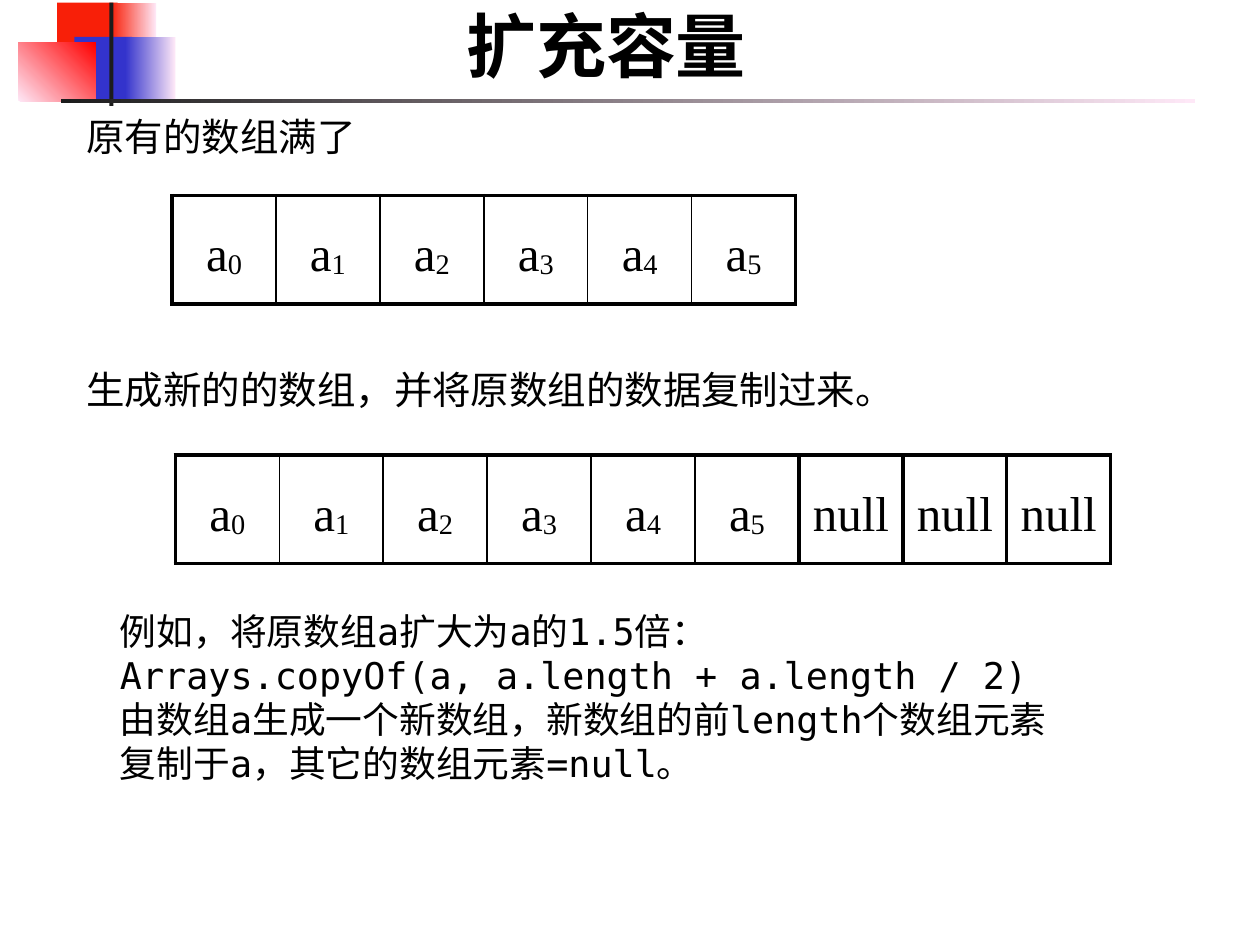
from lxml import etree
from pptx import Presentation
from pptx import util as u
from pptx.dml import color
from pptx.enum import shapes, text
from pptx.oxml import ns

SERIF = "Times New Roman"
CELL_WIDTH = 59.4
CELL_HEIGHT = 61.9
INSET = 4.5
THIN, THICK = 1, 2.25
ORIGINAL_LENGTH = 6


def rgb(value):
    return color.RGBColor.from_string(value)


def add_block(slide, box, start, end=None, angle=0):
    shape = slide.shapes.add_shape(shapes.MSO_SHAPE.RECTANGLE, *map(u.Pt, box))
    shape.shadow.inherit = False
    shape.line.fill.background()
    if end is None:
        shape.fill.solid()
        shape.fill.fore_color.rgb = rgb(start)
    else:
        shape.fill.gradient()
        shape.fill.gradient_angle = angle
        for stop, value in zip(shape.fill.gradient_stops, (start, end)):
            stop.color.rgb = rgb(value)


def style_font(font, name, size, bold=False):
    font.name = name
    font.size = u.Pt(size)
    font.bold = bold
    font.color.rgb = rgb("000000")


def set_insets(holder):
    holder.margin_left = holder.margin_right = u.Pt(INSET)
    holder.margin_top = holder.margin_bottom = u.Pt(INSET)


def add_text(slide, box, lines, name, size, bold=False, wrap=False,
             align=text.PP_ALIGN.LEFT, anchor=text.MSO_ANCHOR.MIDDLE):
    frame = slide.shapes.add_textbox(*map(u.Pt, box)).text_frame
    set_insets(frame)
    frame.word_wrap = wrap
    frame.vertical_anchor = anchor
    frame.text = "\n".join(lines)
    for paragraph in frame.paragraphs:
        paragraph.alignment = align
        style_font(paragraph.font, name, size, bold)


def set_border(cell, side, width):
    properties = cell._tc.get_or_add_tcPr()
    line = etree.SubElement(properties, ns.qn(f"a:ln{side}"), w=str(u.Pt(width)))
    fill = etree.SubElement(line, ns.qn("a:solidFill"))
    etree.SubElement(fill, ns.qn("a:srgbClr"), val="000000")


def fill_cell(cell, label, subscript):
    cell.vertical_anchor = text.MSO_ANCHOR.MIDDLE
    set_insets(cell)
    paragraph = cell.text_frame.paragraphs[0]
    paragraph.alignment = text.PP_ALIGN.CENTER
    paragraph.line_spacing = 1.2
    style_font(paragraph.font, SERIF, 28)
    for part in filter(None, (label, subscript)):
        run = paragraph.add_run()
        run.text = part
        style_font(run.font, SERIF, 28)
        if part == subscript:
            run.font._element.set("baseline", "-6000")


def add_array(slide, left, top, length):
    frame = slide.shapes.add_table(1, length, u.Pt(left), u.Pt(top),
                                   u.Pt(CELL_WIDTH * length), u.Pt(CELL_HEIGHT))
    table = frame.table
    table.first_row = table.horz_banding = False
    for index, cell in enumerate(table.rows[0].cells):
        table.columns[index].width = u.Pt(CELL_WIDTH)
        if index < ORIGINAL_LENGTH:
            fill_cell(cell, "a", str(index))
        else:
            fill_cell(cell, "null", "")
        left_heavy = index == 0 or index >= ORIGINAL_LENGTH
        right_heavy = index >= ORIGINAL_LENGTH - 1
        set_border(cell, "L", THICK if left_heavy else THIN)
        set_border(cell, "R", THICK if right_heavy else THIN)
        set_border(cell, "T", THICK)
        set_border(cell, "B", THICK)
        cell.fill.background()


def add_decoration(slide):
    add_block(slide, (32.7, 1.5, 34.5, 37.4), "F81F08")
    add_block(slide, (63.4, 1.5, 25.9, 37.4), "F81F08", "FEE8F7")
    add_block(slide, (42.5, 21, 33.1, 37.4), "3333CC")
    add_block(slide, (71.5, 21, 28.8, 37.4), "3333CC", "FEE8F7")
    add_block(slide, (10.5, 24.5, 44.2, 33.4), "FEE8F7", "FF0000", 45)
    add_block(slide, (62.6, 1.5, 2.2, 59), "1C1C1C")
    add_block(slide, (34.8, 56.7, 648, 2.2), "1C1C1C", "FEE8F7")


def main():
    presentation = Presentation()
    presentation.slide_width = u.Pt(720)
    presentation.slide_height = u.Pt(540)
    slide = presentation.slides.add_slide(presentation.slide_layouts[6])

    add_decoration(slide)
    add_text(slide, (72.7, -2.9, 547.2, 64), ["扩充容量"], SERIF, 40, bold=True,
             wrap=True, align=text.PP_ALIGN.CENTER, anchor=text.MSO_ANCHOR.TOP)
    add_array(slide, 98.3, 111.8, ORIGINAL_LENGTH)
    add_array(slide, 100.2, 260, ORIGINAL_LENGTH * 3 // 2)
    add_text(slide, (45, 58.5, 162.7, 38.2), ["原有的数组满了"], "Lato", 22)
    add_text(slide, (45, 203, 470.9, 38.2),
             ["生成新的的数组，并将原数组的数据复制过来。"], "Lato", 22)
    add_text(slide, (64, 334.8, 538.6, 126.7), [
        "例如，将原数组a扩大为a的1.5倍：",
        "Arrays.copyOf(a, a.length + a.length / 2)",
        "由数组a生成一个新数组，新数组的前length个数组元素",
        "复制于a，其它的数组元素=null。",
    ], "DejaVu Sans Mono", 21, wrap=True)

    presentation.save("out.pptx")


if __name__ == "__main__":
    main()
